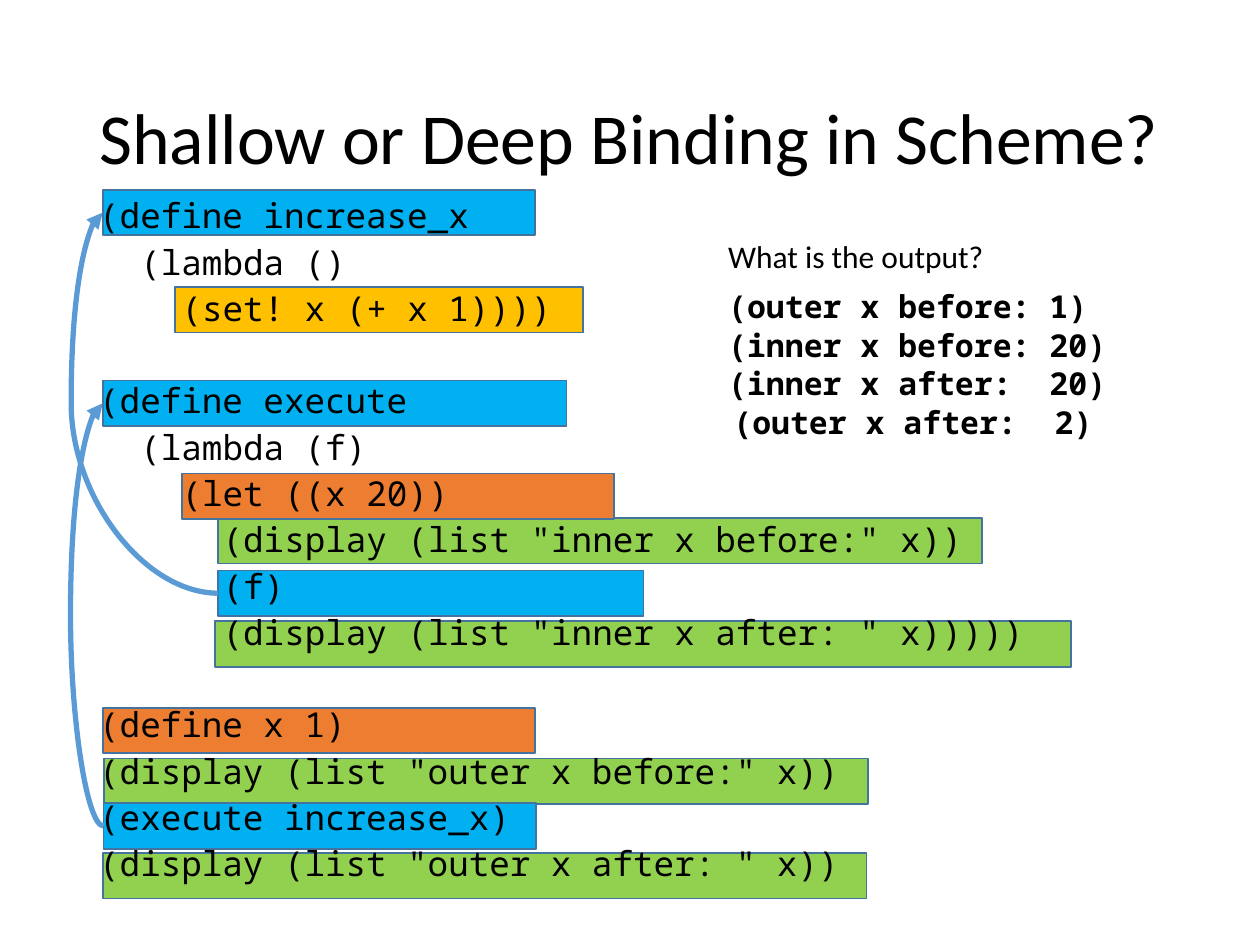
from lxml.etree import SubElement
from pptx import Presentation
from pptx.dml.color import RGBColor
from pptx.enum.shapes import MSO_CONNECTOR, MSO_SHAPE
from pptx.enum.text import MSO_ANCHOR, MSO_AUTO_SIZE, PP_ALIGN
from pptx.oxml.ns import qn
from pptx.util import Pt

COLORS = {
    "text": "000000", "display": "92D050", "binding": "ED7D31",
    "change": "FFC000", "call": "00B0F0", "border": "43739E", "arrow": "5B9BD5",
}
SANS, MONO = "Calibri", "Noto Sans Mono"

TITLE = "Shallow or Deep Binding in Scheme?"

HIGHLIGHTS = [
    ("inner before", "display", 124.7, 296, 436.5),
    ("outer before", "display", 59.5, 433.5, 436.5),
    ("let x", "binding", 104, 270.5, 247),
    ("define x", "binding", 58.7, 404.5, 247),
    ("outer after", "display", 58.7, 487.5, 436.5),
    ("set x", "change", 100, 164, 233),
    ("call f", "call", 124.7, 326, 243),
    ("define increase_x", "call", 58.7, 108.5, 247),
    ("call execute", "call", 59.2, 459, 247),
    ("define execute", "call", 58.7, 217.5, 265),
    ("inner after", "display", 123, 355, 489),
]
HIGHLIGHT_HEIGHT = 26

CALLS = [("call execute", "define execute"), ("call f", "define increase_x")]
ARROW_REACH = 18

CODE_BLOCKS = [
    [
        (0, "(define increase_x"),
        (1, "(lambda ()"),
        (2, "(set! x (+ x 1))))"),
    ],
    [
        (0, "(define execute"),
        (1, "(lambda (f)"),
        (2, "(let ((x 20))"),
        (3, '(display (list "inner x before:" x))'),
        (3, "(f)"),
        (3, '(display (list "inner x after: " x)))))'),
    ],
    [
        (0, "(define x 1)"),
        (0, '(display (list "outer x before:" x))'),
        (0, "(execute increase_x)"),
        (0, '(display (list "outer x after: " x))'),
    ],
]
CODE_SIZE, CODE_GAP, CODE_PITCH, CODE_INDENT = 19.6, 10, 26.46, 23.52

QUESTION = "What is the output?"
ANSWERS = [
    (409, "(outer x before: 1)"),
    (409, "(inner x before: 20)"),
    (409, "(inner x after:  20)"),
    (412, "(outer x after:  2)"),
]
ANSWER_TOP, ANSWER_STEP = 160.5, 22.1


def rgb(name):
    return RGBColor.from_string(COLORS[name])


def place(shape, left, top, width, height):
    shape.left, shape.top = Pt(left), Pt(top)
    shape.width, shape.height = Pt(width), Pt(height)


def write(paragraph, text, size, font, bold=False):
    run = paragraph.add_run()
    run.text = text
    run.font.size, run.font.name, run.font.bold = Pt(size), font, bold
    run.font.color.rgb = rgb("text")


def add_label(slide, left, top, width, text, font, bold=False):
    label = slide.shapes.add_textbox(Pt(left), Pt(top), Pt(width), Pt(29))
    label.text_frame.word_wrap = True
    write(label.text_frame.paragraphs[0], text, 18, font, bold)


def add_highlight(slide, color, left, top, width):
    highlight = slide.shapes.add_shape(
        MSO_SHAPE.RECTANGLE, Pt(left), Pt(top), Pt(width), Pt(HIGHLIGHT_HEIGHT))
    highlight.shadow.inherit = False
    highlight.fill.solid()
    highlight.fill.fore_color.rgb = rgb(color)
    highlight.line.color.rgb = rgb("border")
    highlight.line.width = Pt(1)
    return highlight


def add_call_arrow(slide, caller, definition):
    arrow = slide.shapes.add_connector(
        MSO_CONNECTOR.CURVE,
        caller.left, caller.top + caller.height // 2,
        definition.left, definition.top + definition.height // 2)
    arrow.begin_connect(caller, 1)
    arrow.end_connect(definition, 1)
    arrow.line.color.rgb = rgb("arrow")
    arrow.line.width = Pt(3)
    properties = arrow.element.spPr
    SubElement(properties.find(qn("a:ln")), qn("a:tailEnd"), type="triangle")
    SubElement(properties, qn("a:effectLst"))
    bend = round(100000 * (1 + Pt(ARROW_REACH) / arrow.width))
    adjustments = properties.find(qn("a:prstGeom")).find(qn("a:avLst"))
    SubElement(adjustments, qn("a:gd"), name="adj1", fmla=f"val {bend}")


def fill_code(frame):
    frame.auto_size = MSO_AUTO_SIZE.NONE
    paragraph = frame.paragraphs[0]
    for block_index, block in enumerate(CODE_BLOCKS):
        for line_index, (level, text) in enumerate(block):
            opens_block = block_index > 0 and line_index == 0
            if block_index or line_index:
                paragraph = frame.add_paragraph()
            paragraph.line_spacing = 0.7
            paragraph.space_before = Pt(CODE_GAP + (CODE_PITCH if opens_block else 0))
            properties = paragraph._p.get_or_add_pPr()
            properties.set("marL", str(Pt(level * CODE_INDENT)))
            properties.set("indent", "0")
            SubElement(properties, qn("a:buNone"))
            write(paragraph, text, CODE_SIZE, MONO)


def main():
    deck = Presentation()
    deck.slide_width, deck.slide_height = Pt(720), Pt(540)
    slide = deck.slides.add_slide(deck.slide_layouts[1])

    title, code = slide.shapes.title, slide.placeholders[1]
    place(title, 49.5, 28.5, 621, 104.5)
    title.text_frame.vertical_anchor = MSO_ANCHOR.MIDDLE
    title.text_frame.auto_size = MSO_AUTO_SIZE.NONE
    heading = title.text_frame.paragraphs[0]
    heading.alignment = PP_ALIGN.LEFT
    heading.line_spacing = 0.9
    write(heading, TITLE, 41, SANS)

    highlights = {part: add_highlight(slide, *rest) for part, *rest in HIGHLIGHTS}
    for caller, definition in CALLS:
        add_call_arrow(slide, highlights[caller], highlights[definition])

    place(code, 49.5, 114, 621, 414.5)
    fill_code(code.text_frame)
    code.element.getparent().append(code.element)

    add_label(slide, 409, 132, 162, QUESTION, SANS)
    for index, (left, answer) in enumerate(ANSWERS):
        add_label(slide, left, ANSWER_TOP + index * ANSWER_STEP, 231, answer, MONO, True)

    deck.save("out.pptx")


if __name__ == "__main__":
    main()
